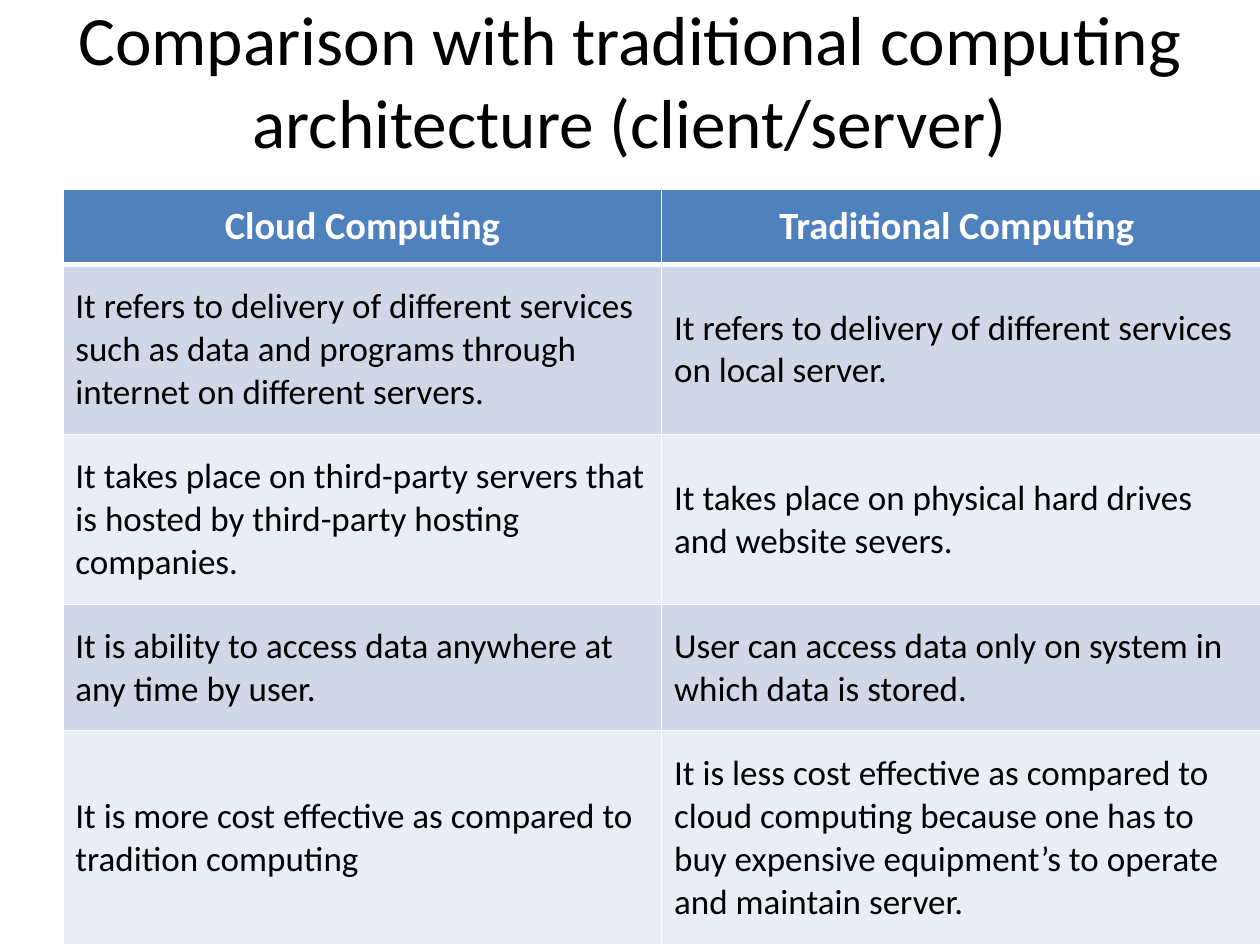
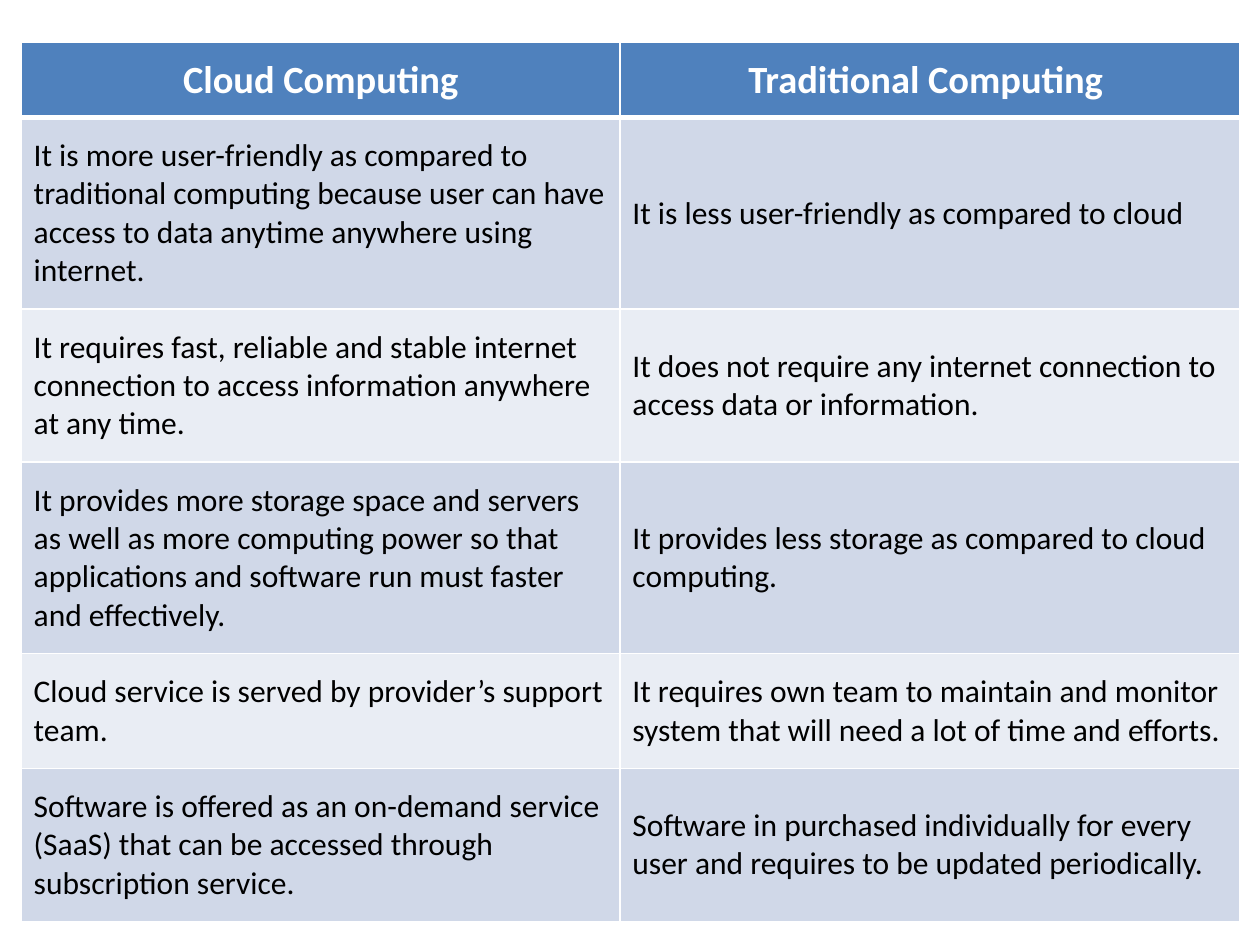
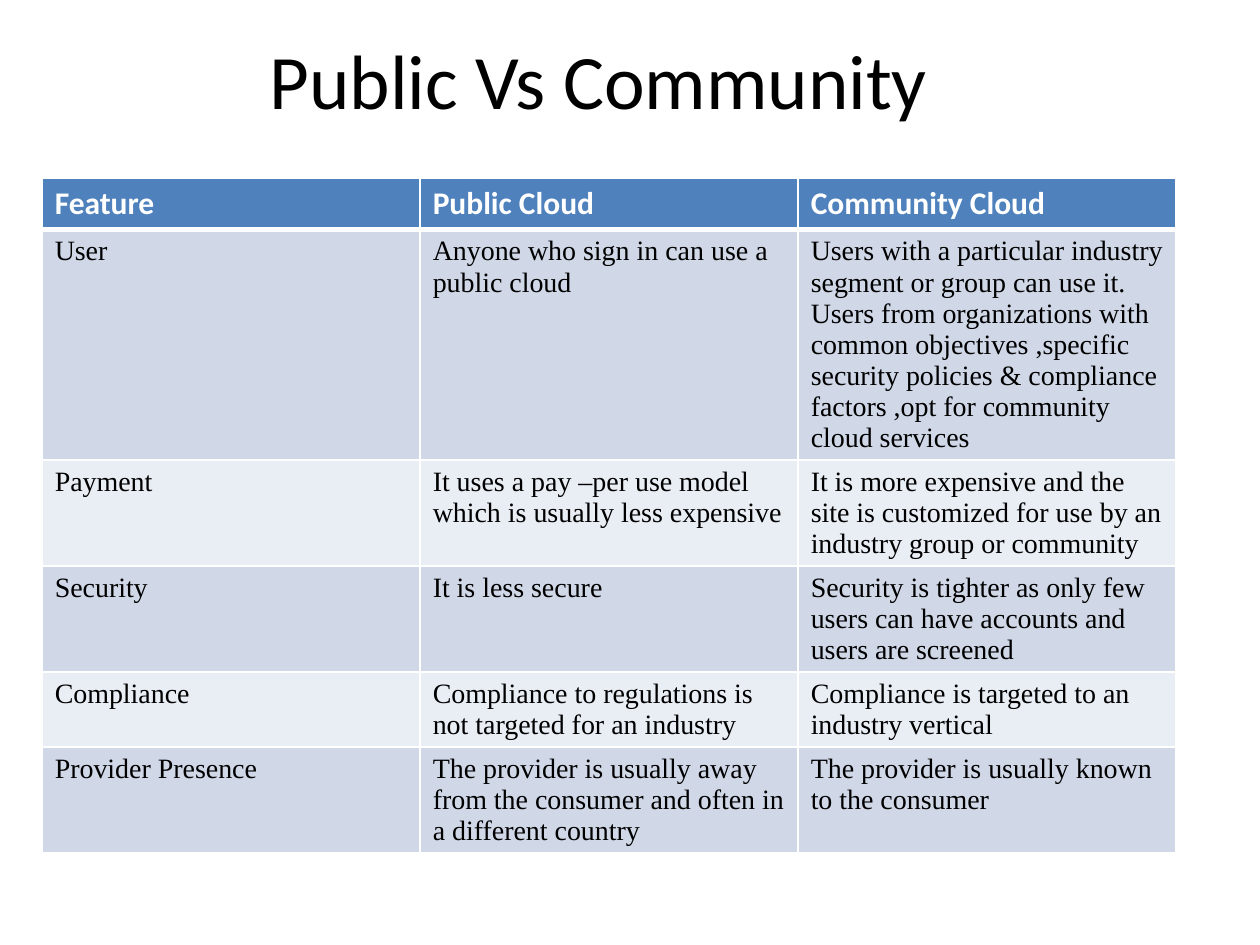
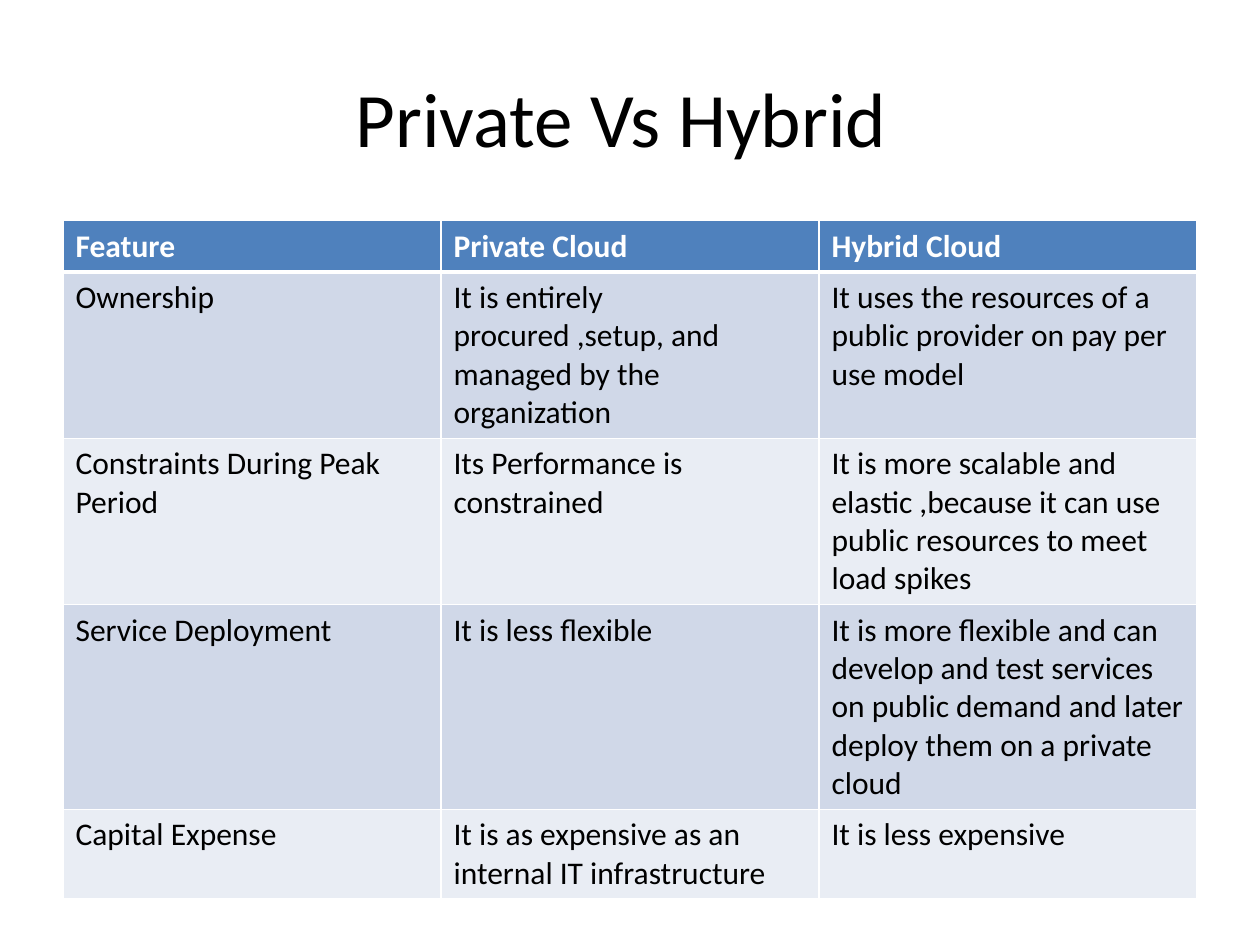
from pptx import Presentation, util as u
from pptx.dml import color
from pptx.enum import text as t
from pptx.oxml import parse_xml
from pptx.oxml import ns

BLACK, WHITE, HEADER_BLUE = "000000", "FFFFFF", "4F81BD"
BAND_FILLS = ["D0D8E8", "E9EDF4"]
CLOUD_HEADER = ["Cloud Computing", "Traditional Computing "]


def rgb(value):
    return color.RGBColor.from_string(value)


def write_text(frame, text, size, font="Calibri", fill=BLACK, bold=False,
               align=t.PP_ALIGN.LEFT, anchor=t.MSO_ANCHOR.TOP):
    frame.text = text
    frame.word_wrap = True
    frame.vertical_anchor = anchor
    paragraph = frame.paragraphs[0]
    paragraph.alignment = align
    run_font = paragraph.runs[0].font
    run_font.size = u.Pt(size)
    run_font.name = font
    run_font.bold = bold
    run_font.color.rgb = rgb(fill)


slides = [
    {
        "title": "Comparison with traditional computing architecture (client/server)",
        "title_size": 39.6, "title_place": (1.27, 0),
        "table_place": (1.27, 3.81), "table_height": 15.21,
        "columns": [12.07, 12.07], "rows": [1.52, 3.43, 3.43, 2.54, 4.32],
        "roomy": True, "header_size": 22, "body_size": 20, "body_font": "Calibri",
        "cells": [
            CLOUD_HEADER,
            ["It refers to delivery of different services such as data and programs through internet on different servers.",
             "It refers to delivery of different services on local server. "],
            ["It takes place on third-party servers that is hosted by third-party hosting companies.  ",
             "It takes place on physical hard drives and website severs.  "],
            ["It is ability to access data anywhere at any time by user.  ",
             "User can access data only on system in which data is stored.  "],
            ["It is more cost effective as compared to tradition computing",
             "It is less cost effective as compared to cloud computing because one has to buy expensive equipment’s to operate and maintain server.  "],
        ],
    },
    {
        "title": None,
        "table_place": (0.43, 0.85), "table_height": 18.19,
        "columns": [12.07, 12.5], "rows": [1.52, 3.35, 1.65, 1.96, 1.32, 2.92],
        "roomy": True, "header_size": 22, "body_size": 18, "body_font": "Calibri",
        "cells": [
            CLOUD_HEADER,
            ["It is more user-friendly as compared to traditional computing because user can have access to data anytime anywhere using internet. ",
             "It is less user-friendly as compared to cloud"],
            ["It requires fast, reliable and stable internet connection to access information anywhere at any time.",
             "It does not require any internet connection to access data or information.  "],
            ["It provides more storage space and servers as well as more computing power so that applications and software run must faster and effectively.  ",
             "It provides less storage as compared to cloud computing.  "],
            ["Cloud service is served by provider’s support team.  ",
             "It requires own team to maintain and monitor system that will need a lot of time and efforts.  "],
            ["Software is offered as an on-demand service (SaaS) that can be accessed through subscription service.  ",
             "Software in purchased individually for every user and requires to be updated periodically."],
        ],
    },
    {
        "title": "Public Vs Community",
        "title_size": 44, "title_place": (0.64, 0),
        "table_place": (0.85, 3.6), "table_height": 15.16,
        "columns": [7.62] * 3, "rows": [1.03] * 6,
        "roomy": False, "header_size": 18, "body_size": 16, "body_font": "Times New Roman",
        "cells": [
            ["Feature", "Public Cloud", "Community Cloud"],
            ["User", "Anyone who sign in can use a public cloud",
             "Users with a particular industry segment or group can use it. Users from organizations with common objectives ,specific security policies & compliance factors ,opt for community cloud services"],
            ["Payment", "It uses a pay –per use model which is usually less expensive",
             "It is more expensive and the site is customized for use by an industry group or community"],
            ["Security", "It is less secure",
             "Security is tighter as only few users can have accounts and users are screened"],
            ["Compliance", "Compliance to regulations is not targeted for an industry",
             "Compliance is targeted to an industry vertical"],
            ["Provider Presence",
             "The provider is usually away from the consumer and often in a different country",
             "The provider is usually known to the consumer"],
        ],
    },
    {
        "title": "Private Vs Hybrid ",
        "title_size": 44, "title_place": (1.27, 0.76),
        "table_place": (1.27, 4.45), "table_height": 12.73,
        "columns": [7.62] * 3, "rows": [1.03] * 5,
        "roomy": False, "header_size": 18, "body_size": 18, "body_font": "Calibri",
        "cells": [
            ["Feature", "Private Cloud", "Hybrid Cloud"],
            ["Ownership", "It is entirely procured ,setup, and managed by the organization",
             "It uses the resources of a public provider on pay per use model"],
            ["Constraints During Peak Period", "Its Performance is constrained",
             "It is more scalable and elastic ,because it can use public resources to meet load spikes"],
            ["Service Deployment", "It is less flexible",
             "It is more flexible and can develop and test services on public demand and later deploy them on a private cloud"],
            ["Capital Expense", "It is as expensive as an internal IT infrastructure",
             "It is less expensive"],
        ],
    },
]

presentation = Presentation()
presentation.slide_width = u.Cm(25.4)
presentation.slide_height = u.Cm(19.05)
title_only, blank = presentation.slide_layouts[5], presentation.slide_layouts[6]

for content in slides:
    slide = presentation.slides.add_slide(title_only if content["title"] else blank)
    if content["title"]:
        title = slide.shapes.title
        title.left, title.top = [u.Cm(value) for value in content["title_place"]]
        title.width, title.height = u.Cm(22.86), u.Cm(3.18)
        write_text(title.text_frame, content["title"], content["title_size"],
                   align=t.PP_ALIGN.CENTER, anchor=t.MSO_ANCHOR.MIDDLE)

    left, top = content["table_place"]
    table_frame = slide.shapes.add_table(
        len(content["rows"]), len(content["columns"]), u.Cm(left), u.Cm(top),
        u.Cm(sum(content["columns"])), u.Cm(content["table_height"]))
    table = table_frame.table
    for column, width in zip(table.columns, content["columns"]):
        column.width = u.Cm(width)
    for row, height in zip(table.rows, content["rows"]):
        row.height = u.Cm(height)
    table_frame.height = u.Cm(content["table_height"])

    for row_index, row_texts in enumerate(content["cells"]):
        is_header = row_index == 0
        for column_index, cell_text in enumerate(row_texts):
            cell = table.cell(row_index, column_index)
            roomy = content["roomy"]
            write_text(
                cell.text_frame, cell_text,
                content["header_size"] if is_header else content["body_size"],
                font="Calibri" if is_header else content["body_font"],
                fill=WHITE if is_header else BLACK, bold=is_header,
                align=t.PP_ALIGN.CENTER if is_header and roomy else t.PP_ALIGN.LEFT)
            cell.vertical_anchor = t.MSO_ANCHOR.MIDDLE if roomy else t.MSO_ANCHOR.TOP
            if roomy:
                cell.margin_left = cell.margin_right = u.Cm(0.25)
                cell.margin_top = cell.margin_bottom = u.Cm(0.25 if is_header else 0.38)

            properties = cell._tc.get_or_add_tcPr()
            for side in ["L", "R", "T", "B"]:
                thick = (is_header and side == "B") or (row_index == 1 and side == "T")
                properties.append(parse_xml(
                    f'<a:ln{side} {ns.nsdecls("a")} w="{u.Pt(3 if thick else 1)}">'
                    f'<a:solidFill><a:srgbClr val="{WHITE}"/></a:solidFill></a:ln{side}>'))
            cell.fill.solid()
            cell.fill.fore_color.rgb = rgb(
                HEADER_BLUE if is_header else BAND_FILLS[(row_index - 1) % 2])

presentation.save("out.pptx")
